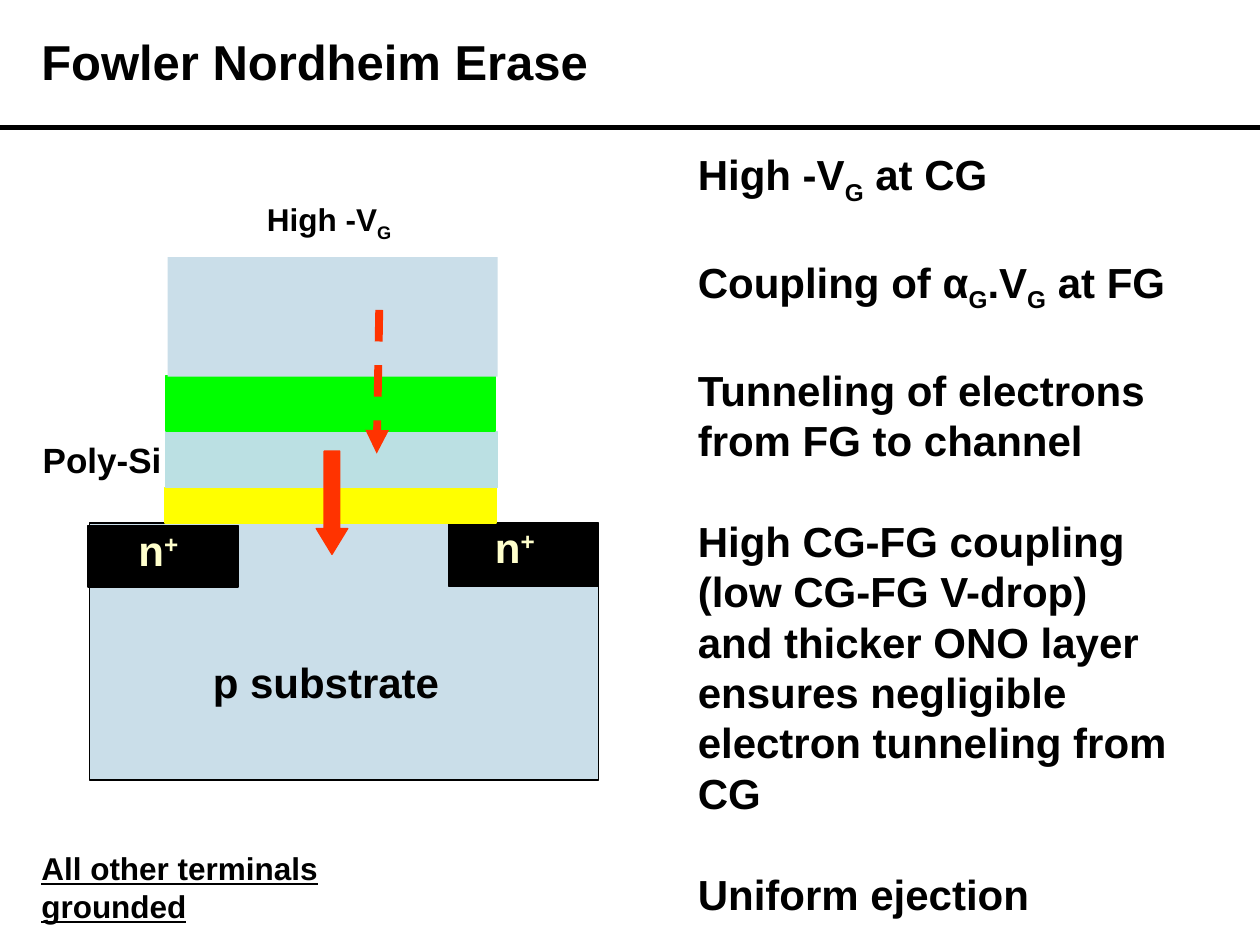
from lxml import etree
from pptx import Presentation
from pptx.dml.color import RGBColor
from pptx.enum.dml import MSO_LINE
from pptx.enum.shapes import MSO_CONNECTOR, MSO_SHAPE
from pptx.oxml.ns import qn
from pptx.util import Inches, Pt

BLACK = RGBColor(0x00, 0x00, 0x00)
SILICON = RGBColor(0xCA, 0xDE, 0xE9)
POLY = RGBColor(0xBB, 0xE0, 0xE3)
GREEN = RGBColor(0x00, 0xFF, 0x00)
YELLOW = RGBColor(0xFF, 0xFF, 0x00)
CREAM = RGBColor(0xFF, 0xFF, 0xCC)
RED = RGBColor(0xFF, 0x33, 0x00)
SUB, SUP = -25000, 30000

prs = Presentation()
prs.slide_width, prs.slide_height = Inches(10), Inches(7.5)
s = prs.slides.add_slide(prs.slide_layouts[6])


def add_text(box, paragraphs, size, color=BLACK, wrap=True, gap=0):
    """Add bold text; a run is a string or a (string, baseline) pair."""
    tb = s.shapes.add_textbox(*map(Inches, box))
    tf = tb.text_frame
    tf.word_wrap = wrap
    for i, runs in enumerate(paragraphs):
        p = tf.paragraphs[0] if i == 0 else tf.add_paragraph()
        p.font.name, p.font.size, p.font.bold = "Arial", Pt(size), True
        p.font.color.rgb = color
        if i:
            p.space_before = Pt(gap)
        for run in runs:
            text, baseline = (run, 0) if isinstance(run, str) else run
            r = p.add_run()
            r.text = text
            if baseline:
                r.font._element.set("baseline", str(baseline))
    return tf


def add_line(x1, y1, x2, y2, color, width):
    ln = s.shapes.add_connector(MSO_CONNECTOR.STRAIGHT, *map(Inches, (x1, y1, x2, y2)))
    ln.line.color.rgb, ln.line.width = color, Pt(width)
    etree.SubElement(ln._element.spPr, qn("a:effectLst"))
    return ln


# Title and rule
add_line(0, 1.01, 10, 1.01, BLACK, 3)
add_text((0.23, 0.2, 5.25, 0.57), [["Fowler Nordheim Erase"]], 28)

# Explanation on the right
add_text((5.44, 1.13, 3.96, 6.21), [
    ["High -V", ("G", SUB), " at CG"],
    ["Coupling of α", ("G", SUB), ".V", ("G", SUB), " at FG"],
    ["Tunneling of electrons from FG to channel"],
    ["High CG-FG coupling (low CG-FG V-drop) and thicker ONO layer "
     "ensures negligible electron tunneling from CG"],
    ["Uniform ejection"],
], 24, gap=28.8)

# Device layers: substrate, source, drain, then the gate stack upwards
layers = [
    ((0.71, 4.15, 4.04, 2.04), SILICON, BLACK),
    ((0.7, 4.17, 1.19, 0.49), BLACK, BLACK),
    ((3.56, 4.16, 1.19, 0.49), BLACK, BLACK),
    ((1.31, 3.87, 2.63, 0.28), YELLOW, YELLOW),
    ((1.32, 3.43, 2.63, 0.44), POLY, POLY),
    ((1.32, 2.98, 2.61, 0.44), GREEN, GREEN),
    ((1.33, 2.04, 2.62, 0.95), SILICON, None),
]
for box, fill, outline in layers:
    sp = s.shapes.add_shape(MSO_SHAPE.RECTANGLE, *map(Inches, box))
    sp.shadow.inherit = False
    sp.fill.solid()
    sp.fill.fore_color.rgb = fill
    if outline is None:
        sp.line.fill.background()
    else:
        sp.line.color.rgb, sp.line.width = outline, Pt(1)

# Device labels
add_text((1.59, 5.16, 2.35, 0.5), [["p substrate"]], 24)
for x, y in ((1, 4.11), (3.83, 4.09)):
    add_text((x, y, 1.01, 0.5), [["n", ("+", SUP)]], 24, CREAM)
add_text((0.24, 3.43, 1.29, 0.44), [["Poly-Si"]], 20)
add_text((2.02, 1.54, 1.39, 0.44), [["High -V", ("G", SUB)]], 18)
tf = add_text((0.23, 6.69, 3.61, 0.4), [["All other terminals grounded"]], 18, wrap=False)
tf.paragraphs[0].font.underline = True

# Tunneling from floating gate to channel
sp = s.shapes.add_shape(MSO_SHAPE.DOWN_ARROW, *map(Inches, (2.51, 3.58, 0.25, 0.82)))
sp.adjustments[0], sp.adjustments[1] = 0.5, 0.82
sp.shadow.inherit = False
sp.fill.solid()
sp.fill.fore_color.rgb = RED
sp.line.color.rgb, sp.line.width = RED, Pt(0.75)

# Negligible tunneling from control gate
ln = add_line(3.01, 2.46, 2.99, 3.6, RED, 4.5)
ln.line.dash_style = MSO_LINE.DASH
etree.SubElement(ln.line._get_or_add_ln(), qn("a:tailEnd"), type="triangle")

prs.save("out.pptx")
